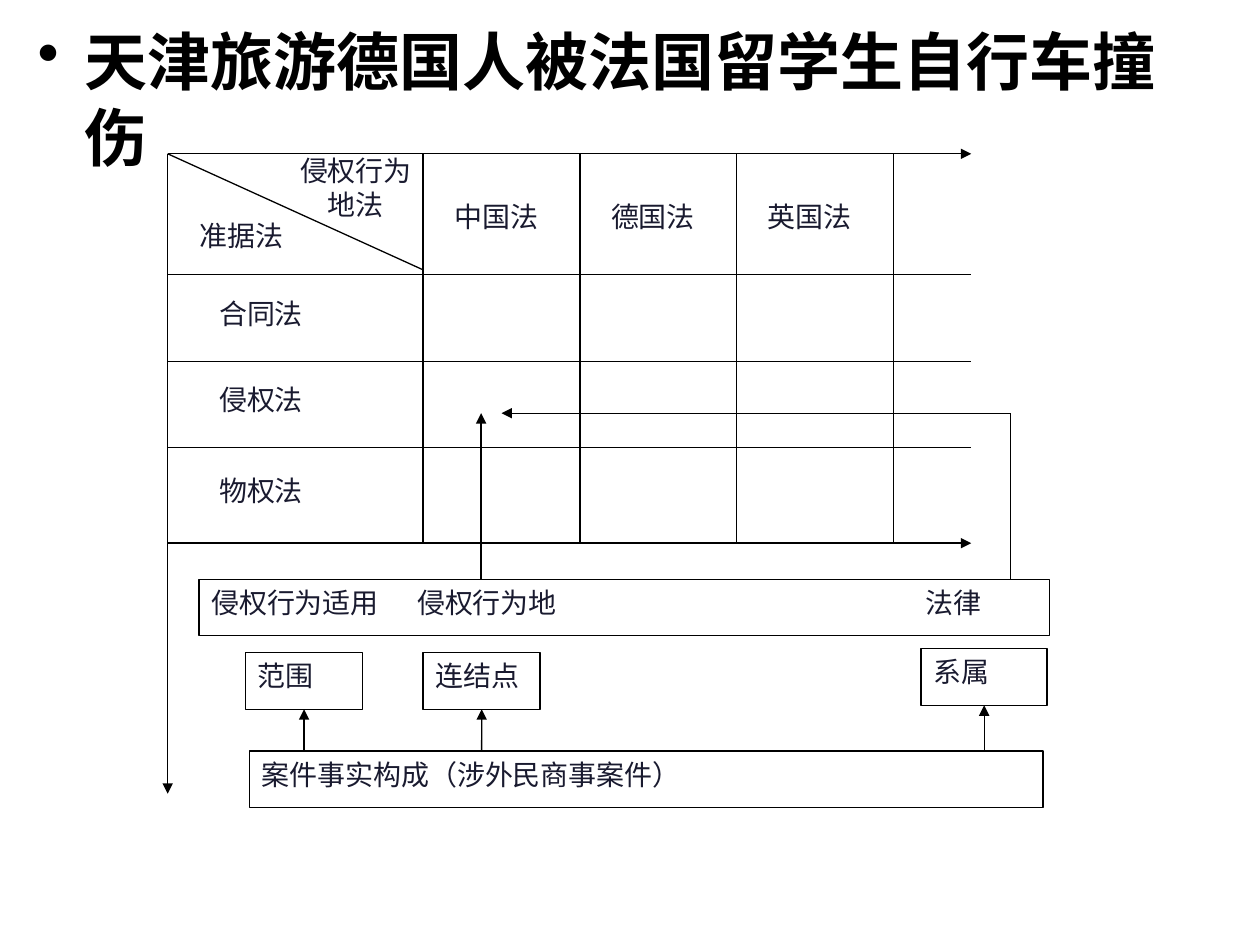
from lxml.etree import SubElement
from pptx import Presentation
from pptx.dml.color import RGBColor
from pptx.enum.shapes import MSO_CONNECTOR as Connector, MSO_SHAPE as Shape
from pptx.enum.text import MSO_ANCHOR as Anchor, PP_ALIGN as Align
from pptx.oxml.ns import qn
from pptx.util import Cm, Pt

BLACK = RGBColor(0x00, 0x00, 0x00)
INK = RGBColor(0x19, 0x1A, 0x2F)
FONT = "Times New Roman"
LEFT, TOP, RIGHT, BOTTOM = 3.38, 3.1, 19.58, 10.95
FIRST_COLUMN, COLUMN_STEP = 8.53, 3.16
ROW_LINES = [5.54, 7.29, 9.02, BOTTOM]
LABEL_WIDTH, BOX_HEIGHT = 2.36, 1.14
LAWS = ["中国法", "德国法", "英国法"]
SUBJECTS = ["合同法", "侵权法", "物权法"]


def write(shape, text, align=Align.JUSTIFY, size=16, color=INK, bold=False):
    """Put one wrapped, top-anchored paragraph into a shape and return it."""
    frame = shape.text_frame
    frame.word_wrap = True
    frame.vertical_anchor = Anchor.TOP
    para = frame.paragraphs[0]
    para.text = text
    para.alignment = align
    font = para.font
    font.name, font.size, font.bold = FONT, Pt(size), bold
    font.color.rgb = color
    return para


def add_label(page, text, left, top, width=LABEL_WIDTH, height=BOX_HEIGHT,
              align=Align.JUSTIFY):
    """Add a plain text label."""
    box = page.shapes.add_textbox(Cm(left), Cm(top), Cm(width), Cm(height))
    write(box, text, align)


def add_box(page, text, left, top, width, align=Align.JUSTIFY, tabs=()):
    """Add an outlined box, with optional tab stops for its text."""
    box = page.shapes.add_shape(
        Shape.RECTANGLE, Cm(left), Cm(top), Cm(width), Cm(BOX_HEIGHT))
    box.shadow.inherit = False
    box.fill.background()
    box.line.color.rgb = BLACK
    box.line.width = Pt(0.75)
    para = write(box, text, align)
    if tabs:
        tab_list = para._p.get_or_add_pPr().makeelement(qn("a:tabLst"), {})
        for position in tabs:
            SubElement(tab_list, qn("a:tab"), pos=str(Cm(position)), algn="l")
        para._p.get_or_add_pPr().insert(0, tab_list)
    return box


def add_line(page, start, end, arrow=False):
    """Add a straight line between two points, optionally with an arrowhead."""
    line = page.shapes.add_connector(
        Connector.STRAIGHT, *(Cm(value) for value in (*start, *end)))
    line.line.color.rgb = BLACK
    line.line.width = Pt(0.75)
    if arrow:
        SubElement(line.line._get_or_add_ln(), qn("a:tailEnd"), type="triangle")
    SubElement(line._element.spPr, qn("a:effectLst"))
    return line


def add_title(page, text):
    """Add the bulleted heading."""
    box = page.shapes.add_textbox(Cm(0.51), Cm(0.33), Cm(24), Cm(18.21))
    para = write(box, text, Align.LEFT, 36, BLACK, True)
    para.space_before = Pt(7)
    properties = para._p.get_or_add_pPr()
    properties.set("marL", str(Cm(0.95)))
    properties.set("indent", str(-Cm(0.95)))
    bullet = properties.makeelement(qn("a:buChar"), {"char": "•"})
    properties.find(qn("a:spcBef")).addnext(bullet)


def add_grid(page):
    """Draw the open table of laws and subjects with its labels."""
    add_line(page, (LEFT, TOP), (LEFT, 16), arrow=True)
    add_line(page, (LEFT, TOP), (RIGHT, TOP), arrow=True)
    for y in ROW_LINES:
        add_line(page, (LEFT, y), (RIGHT, y), arrow=y == BOTTOM)
    for index in range(len(LAWS) + 1):
        x = FIRST_COLUMN + index * COLUMN_STEP
        add_line(page, (x, TOP), (x, BOTTOM))
    add_line(page, (LEFT, TOP), (FIRST_COLUMN, 5.44))
    add_label(page, "准据法", 3.78, 4.29)
    add_label(page, "侵权行为地法", 5.79, 2.97, 2.77, 1.93, Align.CENTER)
    for index, law in enumerate(LAWS):
        add_label(page, law, FIRST_COLUMN + index * COLUMN_STEP + 0.38, 3.89)
    for subject, upper, lower in zip(SUBJECTS, ROW_LINES, ROW_LINES[1:]):
        add_label(page, subject, 4.17, (upper + lower - BOX_HEIGHT) / 2)


def add_rule(page):
    """Draw the conflict rule, its parts and the arrows between them."""
    rule_top, facts_top, target = 11.68, 15.14, 8.33
    point_x, law_x = 9.7, 20.37
    add_box(page, "侵权行为适用\t侵权行为地\t法律", 4.01, rule_top, 17.15,
            Align.LEFT, tabs=(4.15, 14.4))
    add_box(page, "案件事实构成（涉外民商事案件）", 5.03, facts_top, 16)
    add_line(page, (point_x, rule_top), (point_x, target), arrow=True)
    add_line(page, (law_x, rule_top), (law_x, target))
    add_line(page, (law_x, target), (10.11, target), arrow=True)
    parts = [("范围", 4.95, 13.16, LABEL_WIDTH),
             ("连结点", 8.53, 13.16, LABEL_WIDTH),
             ("系属", 18.57, 13.08, 2.54)]
    for text, left, top, width in parts:
        box = add_box(page, text, left, top, width)
        x = left + width / 2
        arrow = add_line(page, (x, facts_top), (x, top + BOX_HEIGHT), arrow=True)
        arrow.end_connect(box, 2)


def main():
    """Build the slide and save it."""
    deck = Presentation()
    deck.slide_width, deck.slide_height = Cm(25.4), Cm(19.05)
    page = deck.slides.add_slide(deck.slide_layouts[6])
    add_title(page, "天津旅游德国人被法国留学生自行车撞伤")
    add_grid(page)
    add_rule(page)
    deck.save("out.pptx")


if __name__ == "__main__":
    main()
